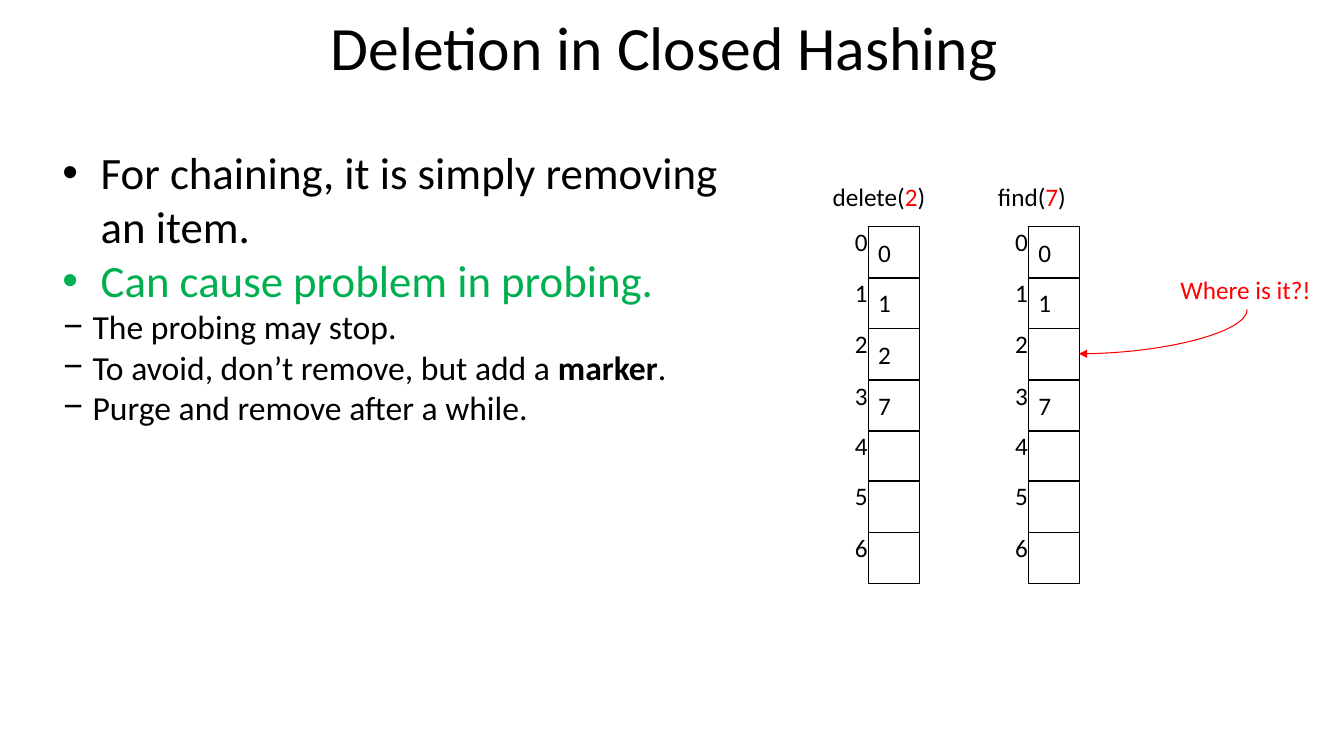
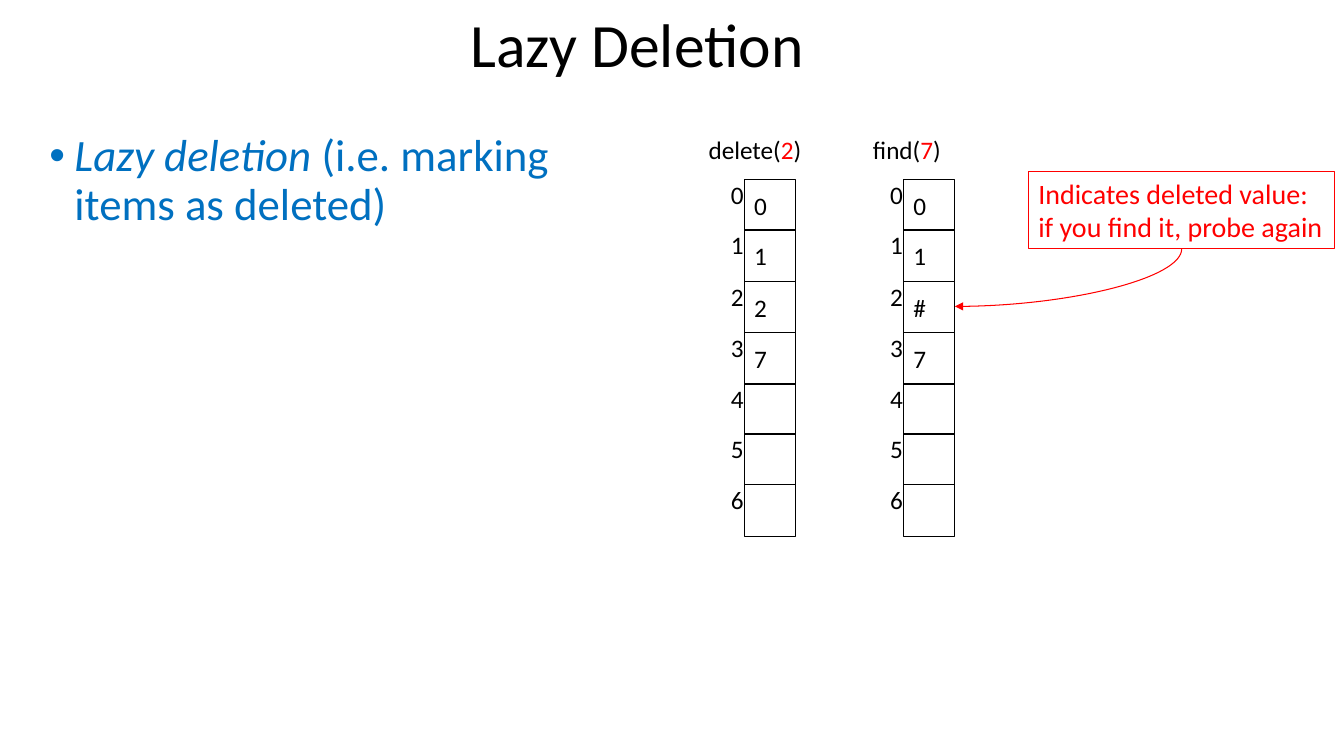
"""Build two slides on deletion in closed hashing."""
from lxml import etree
from pptx import Presentation
from pptx import util as u
from pptx.dml.color import RGBColor
from pptx.enum import shapes, text
from pptx.oxml.ns import qn

PX = 9144
FONT = "Calibri"
DASH_FONT = "Roboto"
BLACK = RGBColor(0x00, 0x00, 0x00)
RED = RGBColor(0xFF, 0x00, 0x00)
GREEN = RGBColor(0x00, 0xB0, 0x50)
BLUE = RGBColor(0x00, 0x70, 0xC0)
LEFT, CENTER = text.PP_ALIGN.LEFT, text.PP_ALIGN.CENTER
TOP, MIDDLE = text.MSO_ANCHOR.TOP, text.MSO_ANCHOR.MIDDLE
CELL = 51
PITCH = 50.5


def px(*lengths):
    return [u.Emu(round(n * PX)) for n in lengths]


def write(p, content, size=18, color=BLACK, align=LEFT, spacing=1.0,
          bullet=None, indent=0, bullet_font="Arial"):
    p.alignment = align
    p.line_spacing = spacing
    if bullet:
        pPr = p._p.get_or_add_pPr()
        pPr.set("marL", str(indent * PX))
        pPr.set("indent", str(-indent * PX))
        etree.SubElement(pPr, qn("a:buFont"), typeface=bullet_font)
        etree.SubElement(pPr, qn("a:buChar"), char=bullet)
    runs = [(content, {})] if isinstance(content, str) else content
    for words, fmt in runs:
        r = p.add_run()
        r.text = words
        r.font.name = FONT
        r.font.size = u.Pt(size)
        r.font.color.rgb = fmt.get("color", color)
        r.font.bold = fmt.get("bold", False)
        r.font.italic = fmt.get("italic", False)


class Deck:
    def __init__(self):
        self.prs = Presentation()
        self.prs.slide_width, self.prs.slide_height = px(1333, 750)
        self.s = None

    def slide(self):
        self.s = self.prs.slides.add_slide(self.prs.slide_layouts[6])

    def fill_text(self, sp, paragraphs, anchor, wrap, **fmt):
        tf = sp.text_frame
        tf.word_wrap = wrap
        tf.vertical_anchor = anchor
        for i, item in enumerate(paragraphs):
            p = tf.add_paragraph() if i else tf.paragraphs[0]
            content, extra = item if isinstance(item, tuple) else (item, {})
            write(p, content, **{**fmt, **extra})

    def label(self, x, y, w, h, *paragraphs, anchor=TOP, wrap=False, **fmt):
        sp = self.s.shapes.add_textbox(*px(x, y, w, h))
        self.fill_text(sp, paragraphs, anchor, wrap, **fmt)

    def title(self, x, y, w, h, words):
        self.label(x, y, w, h, words, anchor=MIDDLE, wrap=True,
                   size=44, align=CENTER, spacing=0.9)

    def box(self, x, y, w, h, *paragraphs, line=BLACK, anchor=MIDDLE, **fmt):
        sp = self.s.shapes.add_shape(shapes.MSO_SHAPE.RECTANGLE, *px(x, y, w, h))
        sp.shadow.inherit = False
        sp.fill.background()
        sp.line.color.rgb = line
        sp.line.width = u.Pt(0.75)
        self.fill_text(sp, paragraphs, anchor, False, **fmt)

    def hash_table(self, x, y, call, argument, values, call_offset):
        for i, value in enumerate(values):
            top = y + round(i * PITCH)
            self.box(x, top, CELL, CELL, value)
            self.label(x - 23, top - 5, 33, 40, str(i))
        runs = [(call + "(", {}), (argument, {"color": RED}), (")", {})]
        self.label(x - call_offset, y - 50, 113 if call == "delete" else 87, 40, runs)

    def curve(self, x1, y1, x2, y2):
        cx, cy = (x1 + x2) / 2, (y1 + y2) / 2
        half_w, half_h = abs(y2 - y1) / 2, abs(x2 - x1) / 2
        c = self.s.shapes.add_connector(
            shapes.MSO_CONNECTOR.CURVE,
            *px(cx - half_w, cy - half_h, cx + half_w, cy + half_h))
        c.line.color.rgb = RED
        c.line.width = u.Pt(0.75)
        spPr = c._element.spPr
        spPr.find(qn("a:xfrm")).set("rot", "5400000")
        spPr.find(qn("a:prstGeom")).set("prst", "curvedConnector2")
        etree.SubElement(spPr.find(qn("a:ln")), qn("a:tailEnd"), type="triangle")
        etree.SubElement(spPr, qn("a:effectLst"))


def closed_hashing(deck):
    deck.slide()
    deck.hash_table(861, 225, "delete", "2", ["0", "1", "2", "7", "", "", ""], 45)
    deck.hash_table(1020, 225, "find", "7", ["0", "1", "", "7", "", "", ""], 40)
    deck.label(1161, 267, 151, 40, "Where is it?!", color=RED)
    deck.curve(1237, 307, 1070, 351)
    deck.title(84, 2, 1150, 96, "Deletion in Closed Hashing")
    point = dict(size=32, bullet="•", indent=38)
    dash = dict(size=24, bullet="–", indent=30, bullet_font=DASH_FONT)
    deck.label(
        52, 139, 718, 293,
        ("For chaining, it is simply removing an item.", point),
        ("Can cause problem in probing.", {**point, "color": GREEN}),
        ("The probing may stop.", dash),
        ([("To avoid, don’t remove, but add a ", {}),
          ("marker", {"bold": True}), (".", {})], dash),
        ("Purge and remove after a while.", dash),
        wrap=True)


def lazy_deletion(deck):
    deck.slide()
    deck.hash_table(738, 178, "delete", "2", ["0", "1", "2", "7", "", "", ""], 45)
    deck.hash_table(896, 178, "find", "7", ["0", "1", "#", "7", "", "", ""], 40)
    deck.box(1020, 170, 304, 77, "Indicates deleted value:",
             "if you find it, probe again",
             line=RED, anchor=TOP, size=20, color=RED)
    deck.curve(1172, 247, 947, 304)
    deck.title(57, -3, 1150, 101, "Lazy Deletion")
    deck.label(
        39, 127, 602, 107,
        [("Lazy deletion", {"italic": True}),
         (" (i.e. marking items as deleted)", {})],
        wrap=True, size=32, color=BLUE, spacing=0.9, bullet="•", indent=25)


def main():
    deck = Deck()
    closed_hashing(deck)
    lazy_deletion(deck)
    deck.prs.save("out.pptx")


if __name__ == "__main__":
    main()
